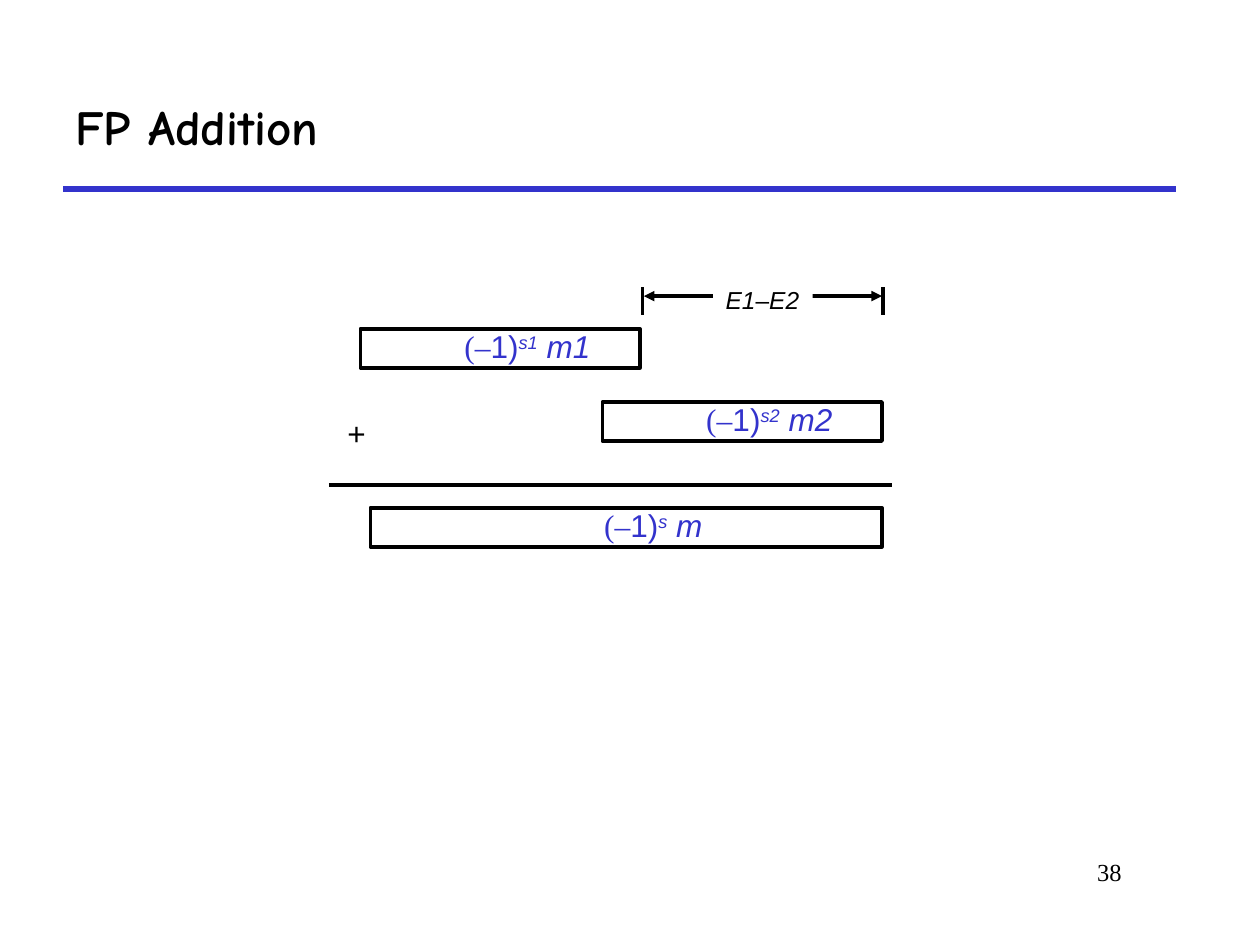
"""Build the slide that shows how two floating-point numbers are added."""
from lxml import etree
from pptx import Presentation
from pptx.dml.color import RGBColor
from pptx.enum.shapes import MSO_CONNECTOR, MSO_SHAPE
from pptx.enum.text import MSO_ANCHOR, MSO_AUTO_SIZE, PP_ALIGN
from pptx.oxml.ns import qn
from pptx.util import Inches, Pt

COLORS = {"ink": "000000", "accent": "3333CC", "paper": "FFFFFF"}
BAR_HEIGHT = 0.31
BAR_RIGHT = 7


def color(key):
    return RGBColor.from_string(COLORS[key])


def add_run(paragraph, text, size, font="Arial", ink="ink", bold=False, italic=False, raised=False):
    run = paragraph.add_run()
    run.text = text
    run.font.size = Pt(size)
    run.font.name = font
    run.font.bold = bold
    run.font.italic = italic
    run.font.color.rgb = color(ink)
    if raised:
        run.font._element.set("baseline", "30000")


def add_line(slide, start, end, ink="ink", width=2, arrows=False):
    points = [Inches(value) for value in (*start, *end)]
    line = slide.shapes.add_connector(MSO_CONNECTOR.STRAIGHT, *points)
    line.line.color.rgb = color(ink)
    line.line.width = Pt(width)
    if arrows:
        outline = line.line._get_or_add_ln()
        for end_tag in ("a:headEnd", "a:tailEnd"):
            etree.SubElement(outline, qn(end_tag), type="triangle")
    etree.SubElement(line._element.spPr, qn("a:effectLst"))


def add_label(slide, box, align=PP_ALIGN.LEFT, anchor=MSO_ANCHOR.TOP, wrap=False, filled=False):
    label = slide.shapes.add_textbox(*map(Inches, box))
    if filled:
        label.fill.solid()
        label.fill.fore_color.rgb = color("paper")
    frame = label.text_frame
    frame.word_wrap = wrap
    frame.auto_size = MSO_AUTO_SIZE.NONE if wrap else MSO_AUTO_SIZE.SHAPE_TO_FIT_TEXT
    frame.margin_right = Inches(0.1 if wrap else 0.07)
    frame.vertical_anchor = anchor
    paragraph = frame.paragraphs[0]
    paragraph.alignment = align
    return paragraph


def add_number_bar(slide, left, top, width, sign, mantissa):
    box = map(Inches, (left, top, width, BAR_HEIGHT))
    bar = slide.shapes.add_shape(MSO_SHAPE.RECTANGLE, *box)
    bar.shadow.inherit = False
    bar.fill.solid()
    bar.fill.fore_color.rgb = color("paper")
    bar.line.color.rgb = color("ink")
    bar.line.width = Pt(2)
    frame = bar.text_frame
    frame.word_wrap = False
    frame.vertical_anchor = MSO_ANCHOR.MIDDLE
    term = frame.paragraphs[0]
    term.alignment = PP_ALIGN.CENTER
    term.level = 1
    term.line_spacing = 0.9
    term.space_before = Pt(6.8)
    indent = term._p.get_or_add_pPr()
    indent.set("marL", str(Inches(0.5)))
    indent.set("indent", "0")
    add_run(term, "(–", 18, "Times New Roman", "accent")
    add_run(term, "1)", 18, ink="accent")
    add_run(term, sign, 18, ink="accent", italic=True, raised=True)
    add_run(term, f" {mantissa} ", 18, ink="accent", italic=True)


def add_exponent_gap(slide, left, right):
    for edge in (left, right):
        add_line(slide, (edge, 2.28), (edge, 2.5))
    add_line(slide, (left + 0.01, 2.35), (right - 0.01, 2.35), arrows=True)
    gap = add_label(slide, (5.66, 2.21, 0.79, 0.33), filled=True)
    add_run(gap, "E1", 14, italic=True)
    add_run(gap, "–", 14)
    add_run(gap, "E2", 14, italic=True)


def main():
    deck = Presentation()
    deck.slide_width, deck.slide_height = Inches(10), Inches(7.5)
    slide = deck.slides.add_slide(deck.slide_layouts[6])

    add_line(slide, (0.5, 1.5), (9.33, 1.5), "accent", 3)
    page = add_label(slide, (7.58, 6.75, 1.42, 0.5), PP_ALIGN.RIGHT, wrap=True)
    add_run(page, "38", 14, "Times New Roman")
    title = add_label(slide, (0.5, 0.5, 8.83, 1), anchor=MSO_ANCHOR.MIDDLE, wrap=True)
    add_run(title, "FP Addition", 28, "Comic Neue", bold=True)

    add_number_bar(slide, 2.86, 2.61, 2.22, "s1", "m1")
    add_number_bar(slide, BAR_RIGHT - 2.22, 3.19, 2.22, "s2", "m2")
    add_exponent_gap(slide, 5.1, 7.01)
    plus = add_label(slide, (2.66, 3.24, 0.34, 0.4))
    add_run(plus, "+", 18)
    add_line(slide, (2.61, 3.85), (7.08, 3.85))
    add_number_bar(slide, BAR_RIGHT - 4.06, 4.03, 4.06, "s", "m")

    deck.save("out.pptx")


if __name__ == "__main__":
    main()
